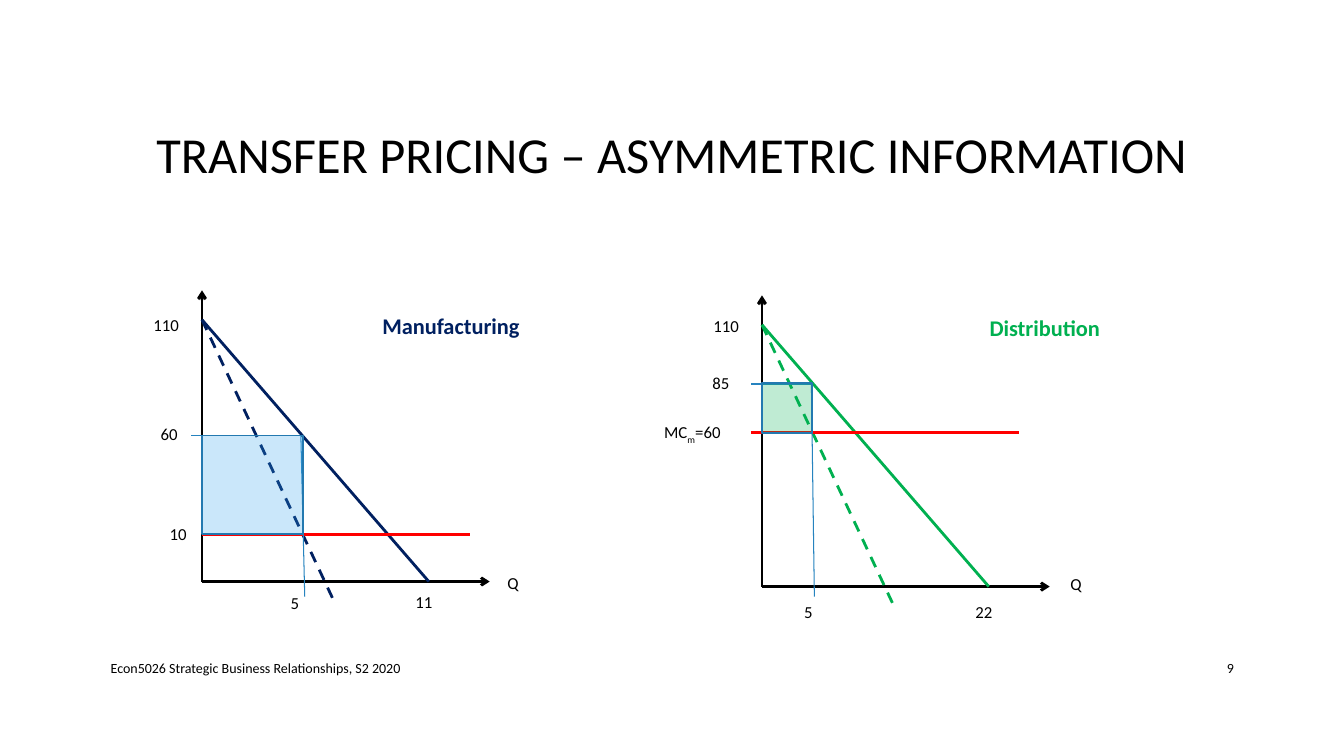
from dataclasses import dataclass

from lxml.etree import SubElement
from pptx import Presentation
from pptx.dml.color import RGBColor
from pptx.enum.dml import MSO_LINE
from pptx.enum.shapes import MSO_CONNECTOR, MSO_SHAPE
from pptx.enum.text import MSO_ANCHOR, PP_ALIGN
from pptx.oxml.ns import qn
from pptx.util import Pt

BLACK = RGBColor(0x00, 0x00, 0x00)
NAVY = RGBColor(0x00, 0x20, 0x60)
GREEN = RGBColor(0x00, 0xB0, 0x50)
RED = RGBColor(0xFF, 0x00, 0x00)
SKY = RGBColor(0x2F, 0xA3, 0xEE)
GUIDE_BLUE = RGBColor(0x26, 0x83, 0xBF)
EDGE_BLUE = RGBColor(0x23, 0x79, 0xB0)

AXIS_HEIGHT = 208
AXIS_WIDTH = 205.5
DEMAND_TOP = (0, -187)
DEMAND_END = (162, 0)
REVENUE_END = (93.3, 12)
LABEL_HEIGHT = 21.6


@dataclass
class Market:
    name: str
    name_at: tuple
    color: RGBColor
    fill: RGBColor
    cost: tuple
    guide: tuple
    profit: tuple
    labels: tuple


MANUFACTURING = Market(
    name="Manufacturing", name_at=(121.7, -195.8), color=NAVY, fill=SKY,
    cost=(0, 191.5, -33.8),
    guide=((73.4, 10.8), (70.6, -104.4), (-7.9, -104.4)),
    profit=(0, -104.4, 72, 70.6),
    labels=(
        (("110",), -41.8, -194.4, 34),
        (("60",), -36.7, -116.6, 30),
        (("10",), -30.2, -44.6, 30),
        (("5",), 56.2, 4.3, 30),
        (("11",), 145.4, 3.6, 34),
        (("Q",), 211, -10, 34),
    ),
)
DISTRIBUTION = Market(
    name="Distribution", name_at=(155.5, -198), color=GREEN, fill=GREEN,
    cost=(-7.9, 183.6, -110.2),
    guide=((37.4, 7.2), (35.3, -144.7), (-7.9, -144.7)),
    profit=(0, -145.4, 36, 36),
    labels=(
        (("110",), -41.8, -197.3, 34),
        (("85",), -42.5, -156.2, 34.6),
        (("MC", "m", "=60"), -77, -121, 69),
        (("5",), 23, 7.2, 30),
        (("22",), 145.4, 7.2, 34),
        (("Q",), 213.1, -13, 34),
    ),
)


def add_text(slide, box, runs, size, color=BLACK, bold=False,
             align=PP_ALIGN.LEFT, anchor=MSO_ANCHOR.TOP):
    shape = slide.shapes.add_textbox(*map(Pt, box))
    frame = shape.text_frame
    frame.word_wrap = True
    frame.vertical_anchor = anchor
    paragraph = frame.paragraphs[0]
    paragraph.alignment = align
    font = paragraph.font
    font.name, font.size, font.bold = "Calibri", Pt(size), bold
    font.color.rgb = color
    for index, text in enumerate(runs):
        run = paragraph.add_run()
        run.text = text
        if index % 2:
            run._r.get_or_add_rPr().set("baseline", "-25000")
    return paragraph


def add_line(slide, origin, start, end, color, width=2, dashed=False, arrow=False):
    left, base = origin
    connector = slide.shapes.add_connector(
        MSO_CONNECTOR.STRAIGHT,
        Pt(left + start[0]), Pt(base + start[1]),
        Pt(left + end[0]), Pt(base + end[1]))
    connector.line.color.rgb = color
    connector.line.width = Pt(width)
    if dashed:
        connector.line.dash_style = MSO_LINE.DASH
    if arrow:
        SubElement(connector.line._get_or_add_ln(), qn("a:tailEnd"), type="arrow")
    SubElement(connector._element.spPr, qn("a:effectLst"))


def add_profit(slide, box, fill):
    shape = slide.shapes.add_shape(MSO_SHAPE.RECTANGLE, *map(Pt, box))
    shape.shadow.inherit = False
    shape.fill.solid()
    shape.fill.fore_color.rgb = fill
    color = shape._element.spPr.find(qn("a:solidFill")).find(qn("a:srgbClr"))
    SubElement(color, qn("a:alpha"), val="25000")
    shape.line.color.rgb = EDGE_BLUE
    shape.line.width = Pt(1.25)


def draw_market(slide, origin, market):
    left, base = origin
    for end in ((0, -AXIS_HEIGHT), (AXIS_WIDTH, 0)):
        add_line(slide, origin, (0, 0), end, BLACK, arrow=True)
    add_line(slide, origin, DEMAND_TOP, DEMAND_END, market.color)
    add_line(slide, origin, DEMAND_TOP, REVENUE_END, market.color, dashed=True)

    cost_start, cost_end, cost_height = market.cost
    add_line(slide, origin, (cost_start, cost_height), (cost_end, cost_height), RED)
    for start, end in zip(market.guide, market.guide[1:]):
        add_line(slide, origin, start, end, GUIDE_BLUE, 0.75)

    for runs, x, y, width in market.labels:
        add_text(slide, (left + x, base + y, width, LABEL_HEIGHT), runs, 12)
    x, y = market.name_at
    add_text(slide, (left + x, base + y, 139, 26.6), (market.name,), 16,
             market.color, bold=True)

    x, y, width, height = market.profit
    add_profit(slide, (left + x, base + y, width, height), market.fill)


def draw_title(slide, box):
    paragraph = add_text(slide, box, ("TRANSFER PRICING – ASYMMETRIC INFORMATION",), 36,
                         align=PP_ALIGN.CENTER, anchor=MSO_ANCHOR.MIDDLE)
    paragraph.line_spacing = 0.9


def draw_footer(slide, box):
    left, top, width, height = box
    number_width = 60.5
    add_text(slide, (left, top, 525.6, height),
             ("Econ5026 Strategic Business Relationships, S2 2020",), 10,
             anchor=MSO_ANCHOR.MIDDLE)
    add_text(slide, (left + width - number_width, top, number_width, height),
             ("9",), 10, align=PP_ALIGN.RIGHT, anchor=MSO_ANCHOR.MIDDLE)


def main():
    presentation = Presentation()
    presentation.slide_width, presentation.slide_height = Pt(960), Pt(540)
    slide = presentation.slides.add_slide(presentation.slide_layouts[6])
    draw_title(slide, (72, 49, 816, 126))
    draw_footer(slide, (72, 463, 816.5, 28.8))
    draw_market(slide, (144.3, 415.4), MANUFACTURING)
    draw_market(slide, (544.3, 419), DISTRIBUTION)
    presentation.save("out.pptx")


if __name__ == "__main__":
    main()
